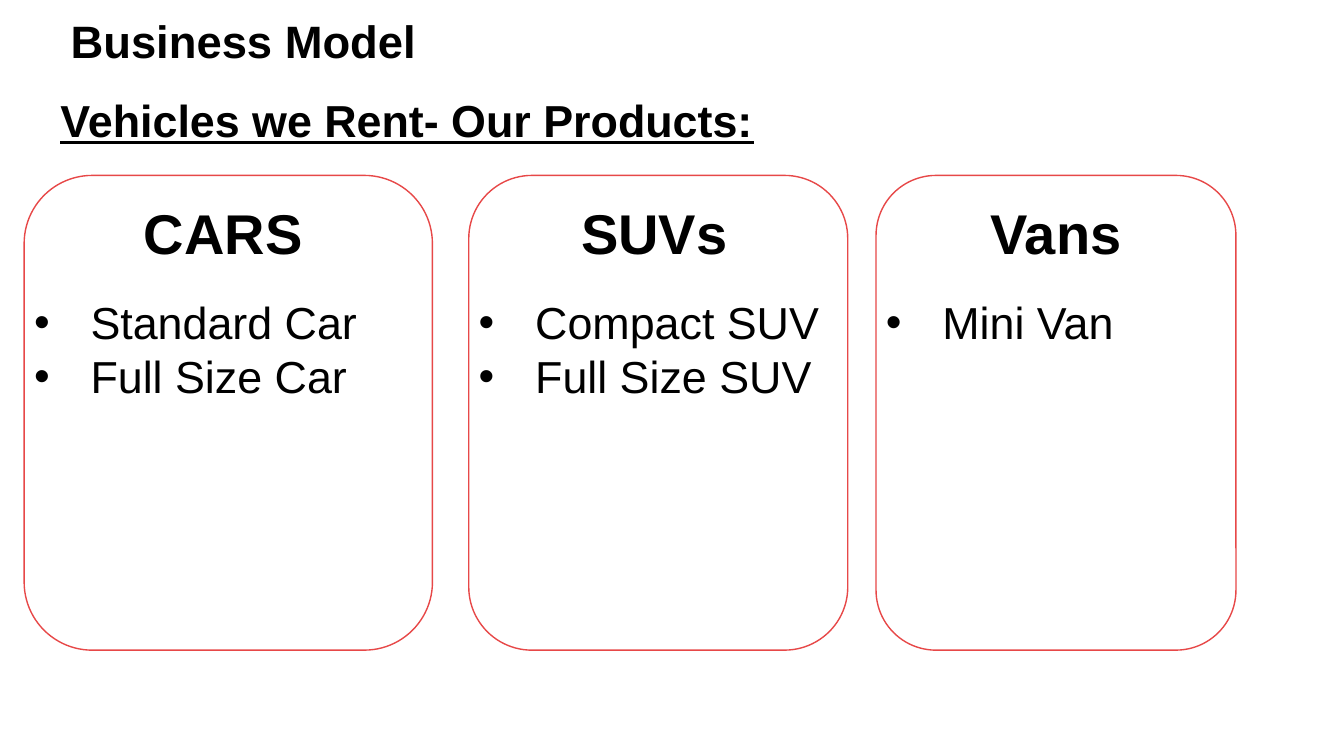
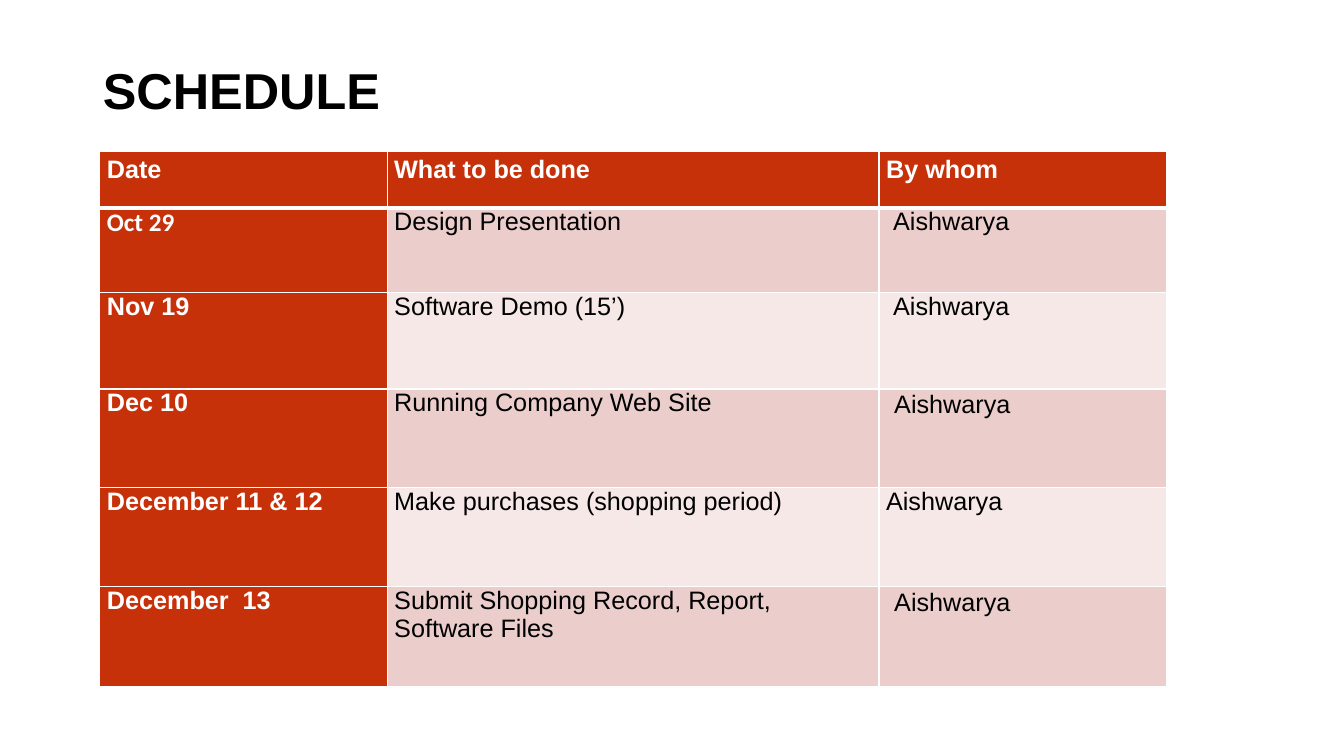
from lxml import etree
from pptx import Presentation
from pptx.dml.color import RGBColor
from pptx.enum.shapes import MSO_SHAPE
from pptx.enum.text import MSO_ANCHOR, MSO_AUTO_SIZE, PP_ALIGN
from pptx.oxml.ns import qn
from pptx.util import Inches, Pt

ROUND = MSO_SHAPE.ROUNDED_RECTANGLE
MIDDLE = MSO_ANCHOR.MIDDLE
FIXED, GROW = MSO_AUTO_SIZE.NONE, MSO_AUTO_SIZE.SHAPE_TO_FIT_TEXT
LEFT, CENTER = PP_ALIGN.LEFT, PP_ALIGN.CENTER

WIDE, HIGH = Inches(13.33), Inches(7.5)
HEX = {"ink": "000000", "paper": "FFFFFF", "edge": "E74848",
       "head": "C73109", "odd": "EBCECC", "even": "F5E8E7"}
PLAIN = {"name": "Arial", "size": Pt(18), "bold": False, "color": "ink"}
BOLD = PLAIN | {"bold": True}
LABEL = BOLD | {"color": "paper"}
ITEM = PLAIN | {"size": Pt(32)}
INDENT = Inches(0.56)

# Card left, card width and text width, in percent of the slide width
CARDS = [
    (1.8, 30.38, 29.63, "CARS", ["Standard Car", "Full Size Car"]),
    (34.88, 28.2, 27.6, "SUVs", ["Compact SUV", "Full Size SUV"]),
    (65.18, 26.78, 26.78, "Vans", ["Mini Van"]),
]
COLS = [21.38, 36.6, 21.38]
ROWS = [7.47, 11.2, 12.8, 13.07, 13.07, 13.2]
PLAN = [
    ("Date", "What to be done", "By whom"),
    ("Oct 29", "Design Presentation", "Aishwarya"),
    ("Nov 19", "Software Demo (15’)", "Aishwarya"),
    ("Dec 10", "Running Company Web Site", "Aishwarya"),
    ("December 11 & 12", "Make purchases (shopping period)", "Aishwarya"),
    ("December  13", "Submit Shopping Record, Report, Software Files",
     "Aishwarya"),
]
# Left and top inset of the names, by row
NUDGE = {1: (0.14, 0), 2: (0.14, 0), 3: (0.15, 0.02), 5: (0.15, 0.02)}


def rgb(name):
    return RGBColor.from_string(HEX[name])


def across(share):
    return round(WIDE * share / 100)


def down(share):
    return round(HIGH * share / 100)


def area(x, y, w, h):
    """Turn percentages of the slide into a box."""
    return across(x), down(y), across(w), down(h)


def place(shape, box):
    for name, value in zip(("left", "top", "width", "height"), box):
        setattr(shape, name, value)


def write(para, text, style, **layout):
    run = para.add_run()
    run.text = text
    for name, value in style.items():
        if name == "color":
            run.font.color.rgb = rgb(value)
        else:
            setattr(run.font, name, value)
    for name, value in layout.items():
        setattr(para, name, value)


def bullet(para, mark=None):
    """Hang the paragraph on a mark, or clear its bullet."""
    props = para._p.get_or_add_pPr()
    gap = INDENT if mark else 0
    props.set("marL", str(gap))
    props.set("indent", str(-gap))
    if mark:
        font = etree.SubElement(props, qn("a:buFont"))
        font.set("typeface", "Arial")
        etree.SubElement(props, qn("a:buChar")).set("char", mark)
    else:
        etree.SubElement(props, qn("a:buNone"))


def fill_holder(holder, box, text, style):
    place(holder, box)
    frame = holder.text_frame
    frame.word_wrap = True
    frame.auto_size = FIXED
    write(frame.paragraphs[0], text, style, alignment=LEFT)
    return frame


def add_title(slide, box, text, size):
    frame = fill_holder(slide.shapes.title, box, text,
                        BOLD | {"size": Pt(size)})
    frame.vertical_anchor = MIDDLE


def add_card(slide, x, wide, inner, head, items):
    card = slide.shapes.add_shape(ROUND, *area(x, 23.2, wide, 62.8))
    card.shadow.inherit = False
    card.fill.solid()
    card.fill.fore_color.rgb = rgb("paper")
    card.line.color.rgb = rgb("edge")
    card.line.width = Pt(1)

    frame = slide.shapes.add_textbox(*area(x, 25.6, inner, 28.67)).text_frame
    frame.word_wrap = True
    frame.auto_size = GROW
    write(frame.paragraphs[0], head, BOLD | {"size": Pt(40)},
          alignment=CENTER, space_after=Pt(21))
    for item in items:
        para = frame.add_paragraph()
        write(para, item, ITEM)
        bullet(para, "•")


def rule_cell(cell, head):
    """Draw white cell borders, heavier below the header."""
    props = cell._tc.get_or_add_tcPr()
    for spot, side in enumerate("LRTB"):
        heavy = side == "B" if head == 0 else head == 1 and side == "T"
        line = etree.Element(qn("a:ln" + side), w=str(Pt(3 if heavy else 1)))
        paint = etree.SubElement(line, qn("a:solidFill"))
        etree.SubElement(paint, qn("a:srgbClr")).set("val", HEX["paper"])
        props.insert(spot, line)


def fill_cell(cell, row, col, text):
    label = row == 0 or col == 0
    left, top = NUDGE.get(row, (0.07, 0)) if col == 2 else (0.07, 0)
    insets = {"left": left, "top": top, "right": 0.07, "bottom": 0}
    for side, inset in insets.items():
        setattr(cell, "margin_" + side, Inches(inset))
    style = LABEL if label else PLAIN
    if text == "Oct 29":
        style = style | {"name": "Calibri"}
    write(cell.text_frame.paragraphs[0], text, style,
          line_spacing=1.15 if row == 0 else 1.0)
    cell.fill.solid()
    tint = "head" if label else "odd" if row % 2 else "even"
    cell.fill.fore_color.rgb = rgb(tint)
    rule_cell(cell, row)


def add_plan(slide):
    box = area(7.43, 20, sum(COLS), sum(ROWS))
    table = slide.shapes.add_table(len(ROWS), len(COLS), *box).table
    table.horz_banding = False
    for col, share in zip(table.columns, COLS):
        col.width = across(share)
    for row, share in zip(table.rows, ROWS):
        row.height = down(share)
    for r, texts in enumerate(PLAN):
        for c, text in enumerate(texts):
            fill_cell(table.cell(r, c), r, c, text)


def add_model(deck):
    slide = deck.slides.add_slide(deck.slide_layouts[1])
    add_title(slide, area(4.5, 1.07, 90, 8.53), "Business Model", 32.4)
    frame = fill_holder(slide.placeholders[1], area(3.75, 11.6, 86.25, 9.2),
                        "Vehicles we Rent- Our Products:",
                        BOLD | {"size": Pt(32), "underline": True})
    bullet(frame.paragraphs[0])
    for card in CARDS:
        add_card(slide, *card)


def add_schedule(deck):
    slide = deck.slides.add_slide(deck.slide_layouts[5])
    add_title(slide, area(6.9, 5.33, 86.25, 12.93), "SCHEDULE", 36)
    add_plan(slide)


def main():
    deck = Presentation()
    deck.slide_width, deck.slide_height = WIDE, HIGH
    add_model(deck)
    add_schedule(deck)
    deck.save("out.pptx")


if __name__ == "__main__":
    main()
